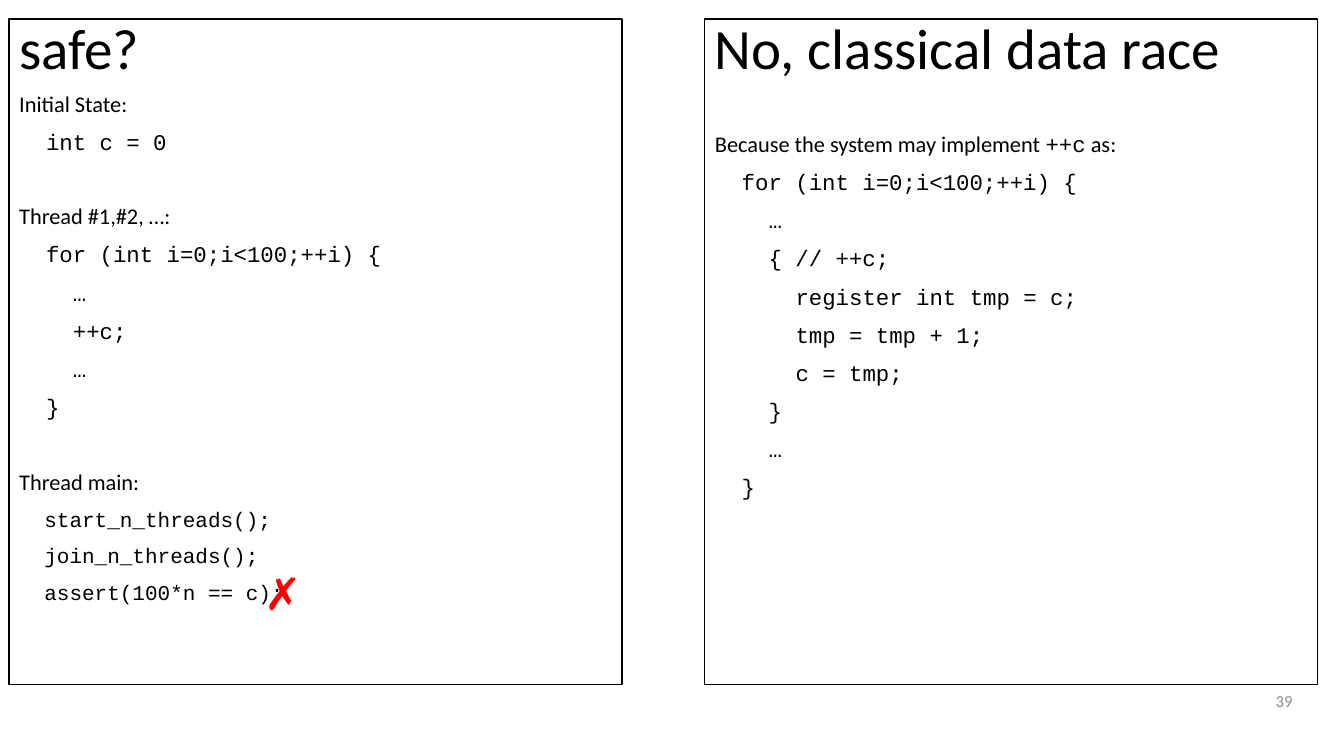
from dataclasses import dataclass

from lxml.etree import SubElement
from pptx import Presentation
from pptx.dml.color import RGBColor
from pptx.enum.shapes import MSO_SHAPE
from pptx.enum.text import MSO_ANCHOR, MSO_AUTO_SIZE, PP_ALIGN
from pptx.oxml.ns import qn
from pptx.util import Inches, Pt

PROSE, CODE = "Calibri", "Courier New"
TOP, WIDTH, HEIGHT, HEAD = 0.19, 6.08, 6.6, 0.68
GAP, SECTION_GAP = 10, 36


@dataclass
class Line:
    text: str
    level: int = 0  # code indent, two characters per level
    size: float = 16
    before: float = GAP
    code: str = ""  # inline code after the text
    tail: str = ""  # prose after the inline code


@dataclass
class Panel:
    left: float
    heading: str
    heading_idx: int
    body_idx: int
    lines: list[Line]
    inset_top: float = 0.05


PANELS = [
    Panel(0.09, "safe?", 0, 2, [
        Line("Initial State:"),
        Line("int c = 0", 1),
        Line("Thread #1,#2, …:", before=SECTION_GAP),
        Line("for (int i=0;i<100;++i) {", 1),
        Line("…", 2),
        Line("++c;", 2),
        Line("…", 2),
        Line("}", 1),
        Line("Thread main:", before=SECTION_GAP),
        Line("start_n_threads();", 1, 15),
        Line("join_n_threads();", 1, 15),
        Line("assert(100*n == c);", 1, 15),
    ]),
    Panel(6.99, "No, classical data race", 1, 4, [
        Line("Because the system may implement ", code="++c", tail=" as:"),
        Line("for (int i=0;i<100;++i) {", 1),
        Line("…", 2),
        Line("{ // ++c;", 2),
        Line("register int tmp = c;", 3),
        Line("tmp = tmp + 1;", 3),
        Line("c = tmp;", 3),
        Line("}", 2),
        Line("…", 2),
        Line("}", 1),
    ], inset_top=0.45),
]


def rgb(color: str) -> RGBColor:
    return RGBColor.from_string(color)


def add_run(p, text: str, *, size: float = 16, font: str = PROSE,
            color: str = "000000") -> None:
    r = p.add_run()
    r.text = text
    r.font.size, r.font.name, r.font.bold = Pt(size), font, False
    r.font.color.rgb = rgb(color)


def format_paragraph(p, *, spacing: float = 1, before: float = 0,
                     indent: float = 0, align=PP_ALIGN.LEFT) -> None:
    p.alignment, p.line_spacing, p.space_before = align, spacing, Pt(before)
    pPr = p._p.get_or_add_pPr()
    pPr.set("marL", str(Pt(indent)))
    pPr.set("indent", "0")
    SubElement(pPr, qn("a:buNone"))


def place(sp, left: float, top: float, width: float, height: float, *,
          anchor=MSO_ANCHOR.TOP, wrap: bool = True):
    sp.left, sp.top = Inches(left), Inches(top)
    sp.width, sp.height = Inches(width), Inches(height)
    tf = sp.text_frame
    tf.auto_size, tf.word_wrap = MSO_AUTO_SIZE.NONE, wrap
    tf.vertical_anchor = anchor
    return tf


def add_frame(s, left: float):
    sp = s.shapes.add_shape(MSO_SHAPE.RECTANGLE, Inches(left), Inches(TOP),
                            Inches(WIDTH), Inches(HEIGHT))
    sp.shadow.inherit = False
    sp.fill.solid()
    sp.fill.fore_color.rgb = rgb("FFFFFF")
    sp.line.color.rgb = rgb("000000")
    sp.line.width = Pt(1)
    return sp


def add_panel(s, panel: Panel) -> None:
    # Frame, kept behind the text
    frame = add_frame(s, panel.left)
    s.shapes.title.element.getparent().insert(2, frame.element)

    # Heading
    heading = s.placeholders[panel.heading_idx]
    tf = place(heading, panel.left, TOP, WIDTH, HEAD, anchor=MSO_ANCHOR.MIDDLE)
    format_paragraph(tf.paragraphs[0], spacing=0.8)
    add_run(tf.paragraphs[0], panel.heading, size=40.7)

    # Prose and code lines
    body = s.placeholders[panel.body_idx]
    tf = place(body, panel.left, TOP + HEAD, WIDTH, HEIGHT - HEAD)
    tf.margin_top = Inches(panel.inset_top)
    for i, line in enumerate(panel.lines):
        p = tf.add_paragraph() if i else tf.paragraphs[0]
        format_paragraph(p, spacing=0.9, before=line.before,
                         indent=line.level * 1.2 * line.size)
        add_run(p, line.text, size=line.size,
                font=CODE if line.level else PROSE)
        if line.code:
            add_run(p, line.code, font=CODE)
            add_run(p, line.tail)


def add_label(s, text: str, box: tuple[float, float, float, float], *,
              size: float, color: str, align=PP_ALIGN.LEFT,
              anchor=MSO_ANCHOR.TOP, wrap: bool = True) -> None:
    tf = place(s.shapes.add_textbox(0, 0, 0, 0), *box, anchor=anchor, wrap=wrap)
    format_paragraph(tf.paragraphs[0], align=align)
    add_run(tf.paragraphs[0], text, size=size, color=color)


prs = Presentation()
prs.slide_width, prs.slide_height = Inches(13.33), Inches(7.5)
s = prs.slides.add_slide(prs.slide_layouts.get_by_name("Comparison"))

for panel in PANELS:
    add_panel(s, panel)

# The second column heading of the layout is not needed
unused = s.placeholders[3].element
unused.getparent().remove(unused)

# Slide number and failed-assertion mark
add_label(s, "39", (9.92, 6.75, 3, 0.4), size=12, color="8C8C8C",
          align=PP_ALIGN.RIGHT, anchor=MSO_ANCHOR.MIDDLE)
add_label(s, "✗", (2.52, 5.56, 0.49, 0.64), size=32, color="FF0000", wrap=False)

prs.save("out.pptx")
